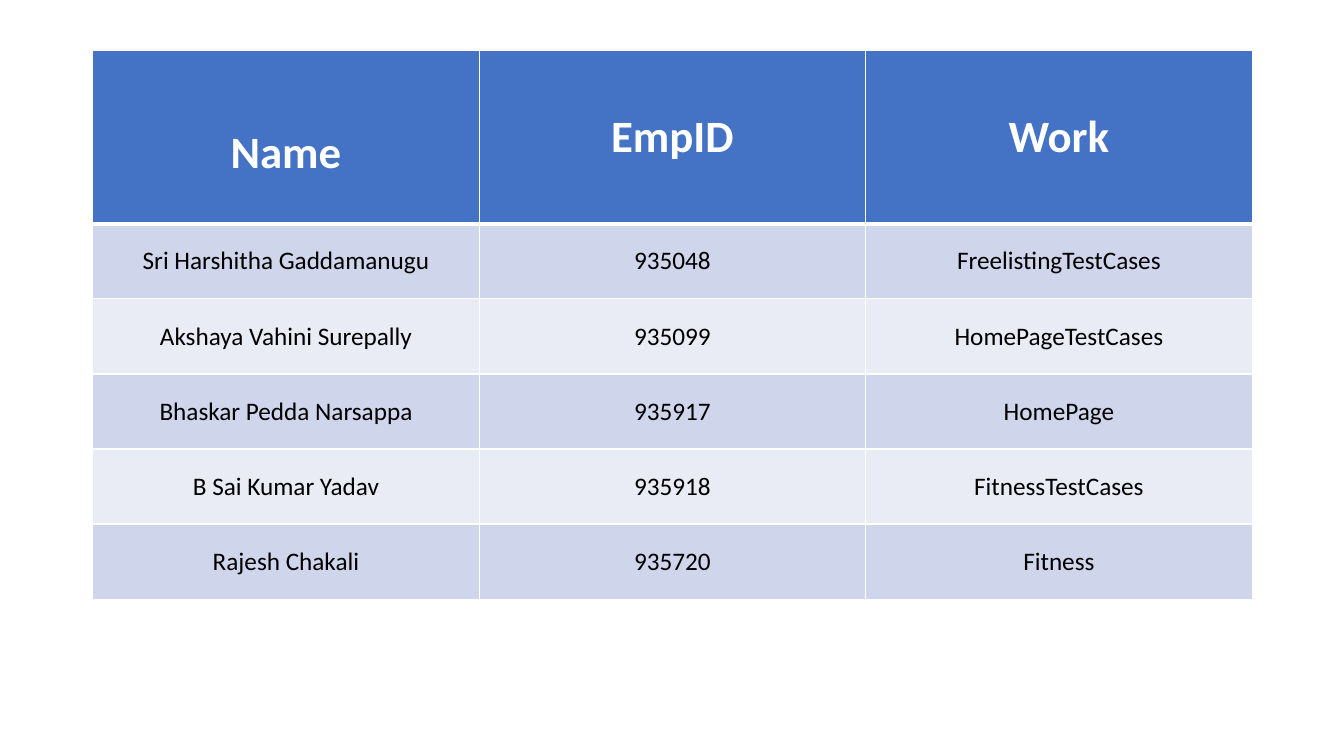
import pptx
import pptx.dml.color
import pptx.enum.text
import pptx.oxml
import pptx.oxml.ns
import pptx.util
from pptx.util import Inches


def rgb(value):
    return pptx.dml.color.RGBColor.from_string(value)


def add_border(cell, side, points):
    cell._tc.get_or_add_tcPr().append(pptx.oxml.parse_xml(
        f'<a:ln{side} {pptx.oxml.ns.nsdecls("a")} w="{pptx.util.Pt(points)}">'
        '<a:solidFill><a:srgbClr val="FFFFFF"/></a:solidFill>'
        f'</a:ln{side}>'))


rows = [
    ("Name", "EmpID", "Work"),
    ("Sri Harshitha Gaddamanugu", "935048", "FreelistingTestCases"),
    ("Akshaya Vahini Surepally", "935099", "HomePageTestCases"),
    ("Bhaskar Pedda Narsappa", "935917", "HomePage"),
    ("B Sai Kumar Yadav", "935918", "FitnessTestCases"),
    ("Rajesh Chakali", "935720", "Fitness"),
]

prs = pptx.Presentation()
prs.slide_width = Inches(13.33)
prs.slide_height = Inches(7.5)
s = prs.slides.add_slide(prs.slide_layouts[6])

table = s.shapes.add_table(
    len(rows), 3, Inches(0.92), Inches(0.5), Inches(11.5), Inches(5.15)).table
for column in table.columns:
    column.width = Inches(11.5 / 3)

for i, values in enumerate(rows):
    header = i == 0
    table.rows[i].height = Inches(1.72 if header else 0.745)
    fill = "4472C4" if header else ("E9EBF5", "CFD5EA")[i % 2]
    for j, value in enumerate(values):
        cell = table.cell(i, j)
        add_border(cell, "L", 1)
        add_border(cell, "R", 1)
        add_border(cell, "T", 3 if i == 1 else 1)
        add_border(cell, "B", 3 if header else 1)
        cell.fill.solid()
        cell.fill.fore_color.rgb = rgb(fill)
        cell.vertical_anchor = pptx.enum.text.MSO_ANCHOR.MIDDLE
        cell.text = value
        p = cell.text_frame.paragraphs[0]
        p.alignment = pptx.enum.text.PP_ALIGN.CENTER
        p.font.name = "Calibri"
        p.font.size = pptx.util.Pt(32 if header else 18)
        p.font.bold = header
        p.font.color.rgb = rgb("FFFFFF" if header else "000000")

table.cell(0, 0).margin_top = Inches(0.37)

prs.save("out.pptx")
